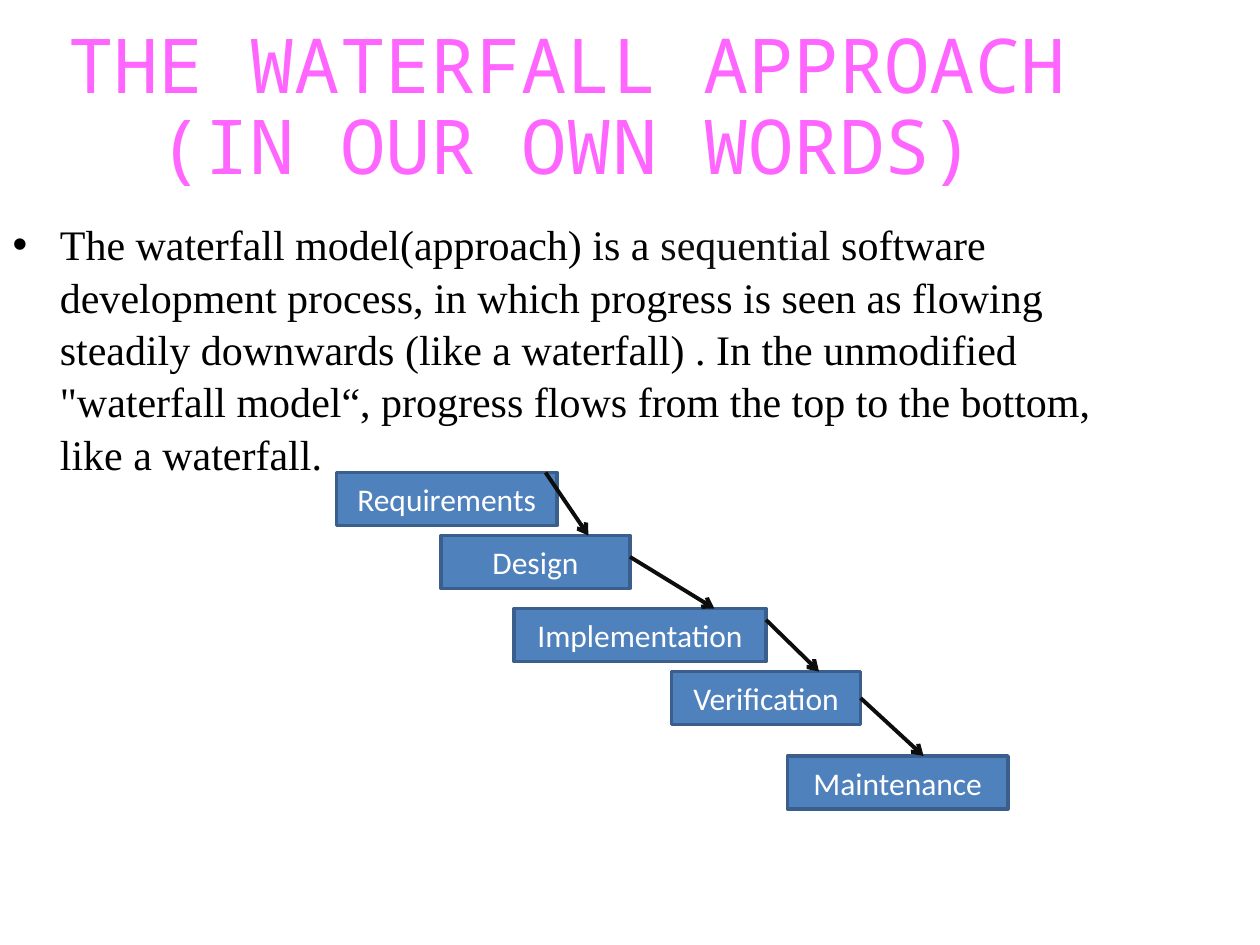
from lxml.etree import SubElement
from pptx import Presentation
from pptx.dml.color import RGBColor
from pptx.enum.shapes import MSO_CONNECTOR, MSO_SHAPE
from pptx.enum.text import MSO_ANCHOR, MSO_AUTO_SIZE, PP_ALIGN
from pptx.oxml.ns import qn
from pptx.util import Inches, Pt

PINK = RGBColor(0xFF, 0x66, 0xFF)
BLACK = RGBColor(0, 0, 0)
NEAR_BLACK = RGBColor(0x0D, 0x0D, 0x0D)
WHITE = RGBColor(0xFF, 0xFF, 0xFF)
STAGE_BLUE = RGBColor(0x4F, 0x81, 0xBD)
STAGE_BORDER = RGBColor(0x3A, 0x5F, 0x8C)

STAGE_HEIGHT = 0.42
STAGES = [
    ("Requirements", 2.67, 3.75, 1.75),
    ("Design", 3.5, 4.25, 1.5),
    ("Implementation", 4.08, 4.83, 2),
    ("Verification", 5.33, 5.33, 1.5),
    ("Maintenance", 6.25, 6, 1.75),
]
FLOWS = [
    (4.33, 3.75, 4.67, 4.25),
    (5, 4.42, 5.67, 4.83),
    (6.08, 4.92, 6.5, 5.33),
    (6.83, 5.54, 7.33, 6),
]
DEFINITION = [
    ("The waterfall model(approach) is a ", BLACK),
    ("sequential ", NEAR_BLACK),
    ("software development process, in which progress is seen as flowing "
     "steadily downwards (like a waterfall) . In the unmodified "
     "\"waterfall model\u201c, progress flows from the top to the bottom, "
     "like a waterfall.", BLACK),
]


def place(shape, left, top, width, height):
    """Move and size a shape, in inches."""
    shape.left, shape.top = Inches(left), Inches(top)
    shape.width, shape.height = Inches(width), Inches(height)


def style_font(font, name, size, color):
    """Set the typeface, point size and colour of a font."""
    font.name, font.size = name, Pt(size)
    font.color.rgb = color


def fill_title(title):
    """Write the two-line heading."""
    place(title, 0, 0, 9, 1.51)
    frame = title.text_frame
    frame.text = "THE WATERFALL APPROACH\v(IN OUR OWN WORDS)"
    frame.auto_size = MSO_AUTO_SIZE.NONE
    frame.vertical_anchor = MSO_ANCHOR.BOTTOM
    frame.margin_left = frame.margin_right = frame.margin_bottom = 0
    frame.margin_top = Inches(0.05)
    heading = frame.paragraphs[0]
    heading.alignment = PP_ALIGN.CENTER
    heading.line_spacing = 0.89
    for run in heading.runs:
        style_font(run.font, "Noto Sans Mono", 43.2, PINK)


def fill_definition(body):
    """Write the bulleted definition."""
    place(body, 0, 1.67, 9, 4.5)
    frame = body.text_frame
    frame.auto_size = MSO_AUTO_SIZE.NONE
    definition = frame.paragraphs[0]
    definition.line_spacing = 1.04
    for text, color in DEFINITION:
        run = definition.add_run()
        run.text = text
        style_font(run.font, "Times New Roman", 24, color)


def add_stage(slide, label, left, top, width):
    """Add one labelled stage of the waterfall."""
    stage = slide.shapes.add_shape(
        MSO_SHAPE.RECTANGLE, Inches(left), Inches(top), Inches(width), Inches(STAGE_HEIGHT))
    stage.shadow.inherit = False
    stage.fill.solid()
    stage.fill.fore_color.rgb = STAGE_BLUE
    stage.line.color.rgb = STAGE_BORDER
    stage.line.width = Pt(2)
    frame = stage.text_frame
    frame.text = label
    frame.vertical_anchor = MSO_ANCHOR.MIDDLE
    frame.paragraphs[0].alignment = PP_ALIGN.CENTER
    style_font(frame.paragraphs[0].runs[0].font, "Calibri", 18, WHITE)


def add_flow(slide, *ends):
    """Add an arrow from one stage to the next."""
    flow = slide.shapes.add_connector(MSO_CONNECTOR.STRAIGHT, *map(Inches, ends))
    flow.line.color.rgb = NEAR_BLACK
    flow.line.width = Pt(2.25)
    SubElement(flow.line._get_or_add_ln(), qn("a:tailEnd"), type="arrow")
    SubElement(flow._element.spPr, qn("a:effectLst"))


def main():
    """Build the waterfall slide and save it."""
    deck = Presentation()
    deck.slide_width, deck.slide_height = Inches(10), Inches(7.5)
    slide = deck.slides.add_slide(deck.slide_layouts[1])
    fill_title(slide.shapes.title)
    fill_definition(slide.placeholders[1])
    for stage in STAGES:
        add_stage(slide, *stage)
    for flow in FLOWS:
        add_flow(slide, *flow)
    deck.save("out.pptx")


main()
